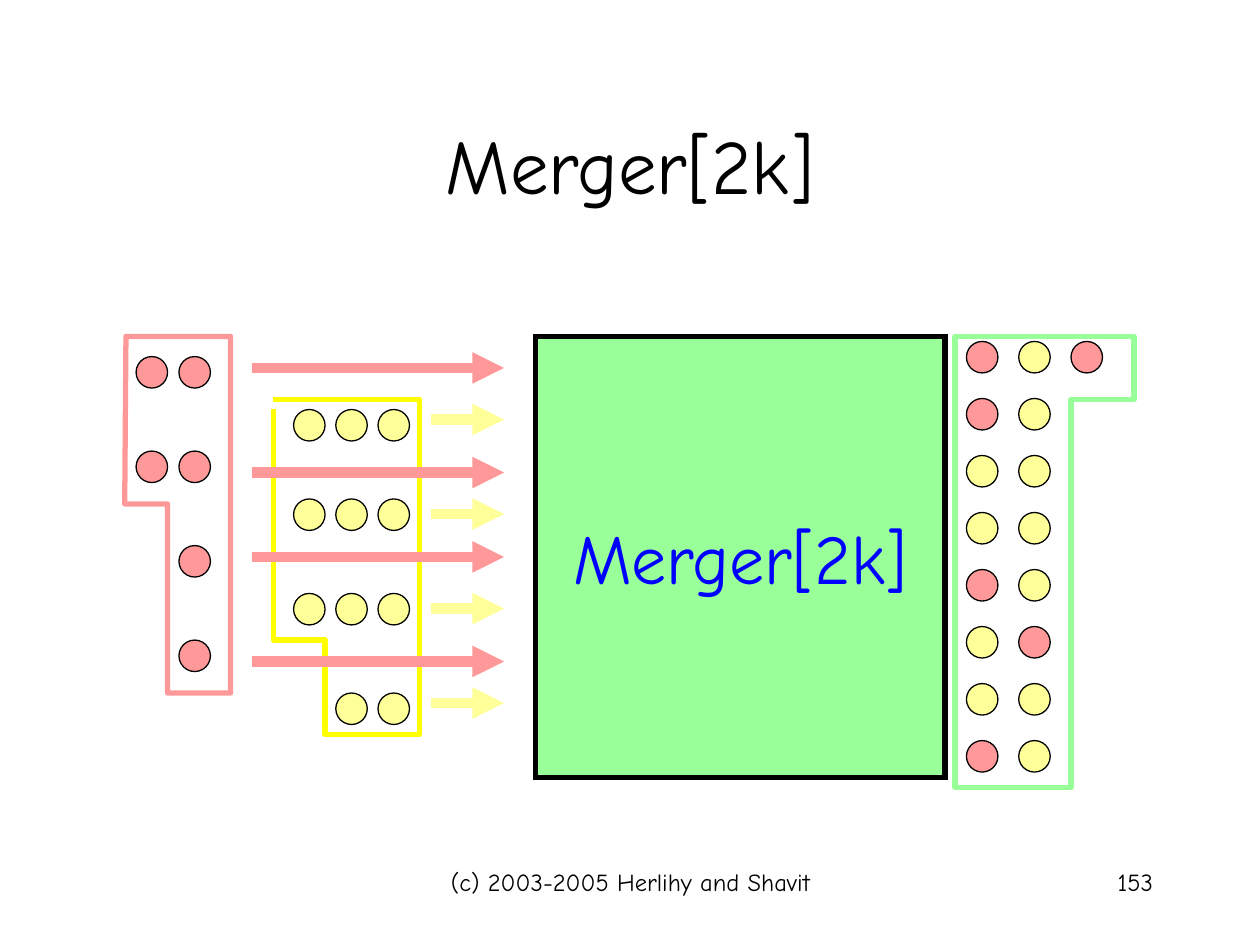
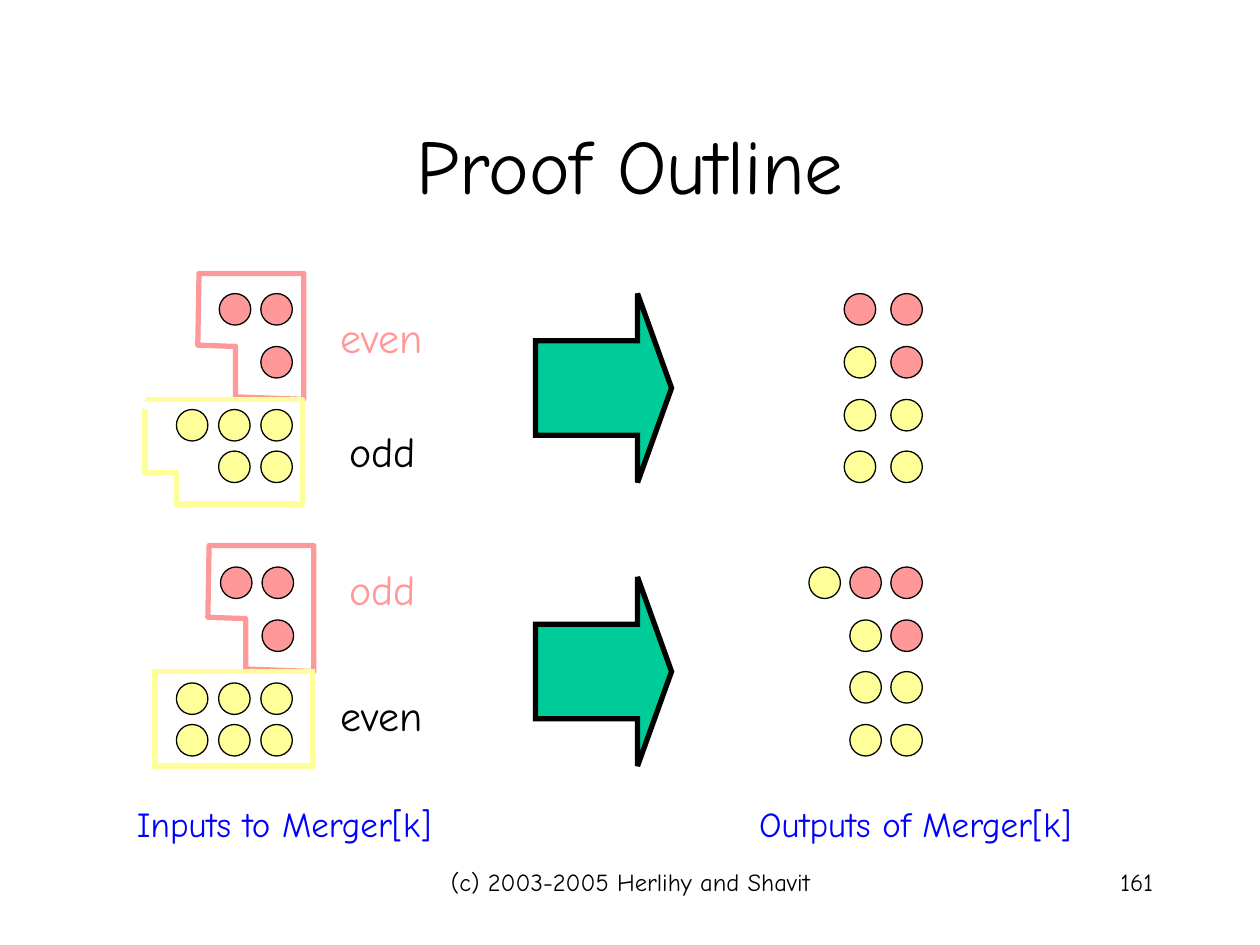
from lxml import etree
from pptx import Presentation
from pptx.dml.color import RGBColor
from pptx.enum.shapes import MSO_CONNECTOR, MSO_SHAPE
from pptx.enum.text import MSO_ANCHOR, PP_ALIGN
from pptx.oxml.ns import qn
from pptx.util import Inches, Pt

RECT, OVAL, ARROW = MSO_SHAPE.RECTANGLE, MSO_SHAPE.OVAL, MSO_SHAPE.RIGHT_ARROW
STRAIGHT = MSO_CONNECTOR.STRAIGHT
CENTER, RIGHT = PP_ALIGN.CENTER, PP_ALIGN.RIGHT
TOP, MIDDLE = MSO_ANCHOR.TOP, MSO_ANCHOR.MIDDLE

FONT = "Comic Neue"
FOOTER = "(c) 2003-2005 Herlihy and Shavit"
C = {"black": "000000", "blue": "0000FF", "pink": "FF9999", "pale": "FFFF99",
     "yellow": "FFFF00", "green": "99FF99", "teal": "00CC99"}
TOKEN = {"P": "pink", "Y": "pale"}
TOKEN_SIZE = 0.25

MERGER = {
    "title": "Merger[2k]",
    "number": "153",
    "box": (4.25, 2.67, 3.25, 3.5),
    "tokens": [
        (1.08, 0.34, [2.83 + 0.75 * i for i in range(4)], ["PP", "PP", ".P", ".P"]),
        (2.33, 0.335, [3.25, 3.96, 4.71, 5.5], ["YYY", "YYY", "YYY", ".YY"]),
        (7.67, 0.415, [2.71 + 0.4525 * i for i in range(8)],
         ["PYP", "PY", "YY", "YY", "PY", "YP", "YY", "PY"]),
    ],
    "outlines": [
        ("yellow", False, [(2.17, 3.25), (2.17, 5.08), (2.58, 5.08), (2.58, 5.83),
                           (3.33, 5.83), (3.33, 3.17), (2.17, 3.17)]),
        ("pink", True, [(1, 2.67), (0.99, 4), (1.33, 4), (1.33, 5.5),
                        (1.83, 5.5), (1.83, 2.67)]),
        ("green", True, [(7.58, 2.67), (7.58, 6.25), (8.5, 6.25), (8.5, 3.17),
                         (9, 3.17), (9, 2.67)]),
    ],
    "flows": [("pink", 2, [2.92, 3.75, 4.42, 5.25]),
              ("pale", 3.42, [3.33, 4.08, 4.83, 5.58])],
}

PINK_INPUT = [(1.58, 2.17), (1.57, 2.74), (1.87, 2.75), (1.87, 3.15),
              (2.41, 3.17), (2.41, 2.17)]
PROOF = {
    "title": "Proof Outline",
    "number": "161",
    "tokens": [
        (1.74, 0.33, [2.33, 2.75], ["PP", ".P"]),
        (1.4, 0.335, [3.25, 3.58], ["YYY", ".YY"]),
        (1.75, 0.33, [4.5, 4.92], ["PP", ".P"]),
        (1.4, 0.335, [5.42, 5.75], ["YYY", "YYY"]),
        (6.7, 0.37, [2.33, 2.75, 3.17, 3.58], ["PP", "YP", "YY", "YY"]),
        (6.42, 0.325, [4.5, 4.92, 5.33, 5.75], ["YPP", ".YP", ".YY", ".YY"]),
    ],
    "outlines": [
        ("pink", True, PINK_INPUT),
        ("pale", False, [(1.15, 3.25), (1.15, 3.75), (1.4, 3.75), (1.4, 4),
                         (2.4, 4), (2.4, 3.17), (1.15, 3.17)]),
        ("pink", True, [(x + 0.08, y + 2.16) for x, y in PINK_INPUT]),
    ],
    "even_box": (1.23, 5.33, 1.25, 0.75),
    "arrows": [(4.25, y, 1.08, 1.5) for y in (2.33, 4.58)],
    "labels": [
        ("even", (2.6, 2.42, 0.86, 0.5), 24, "pink"),
        ("odd", (2.67, 3.33, 0.73, 0.5), 24, "black"),
        ("odd", (2.67, 4.42, 0.73, 0.5), 24, "pink"),
        ("even", (2.6, 5.42, 0.86, 0.5), 24, "black"),
        ("Inputs to Merger[k]", (0.98, 6.32, 2.55, 0.44), 20, "blue"),
        ("Outputs of Merger[k]", (5.92, 6.32, 2.69, 0.44), 20, "blue"),
    ],
}


def rgb(name):
    return RGBColor.from_string(C[name])


def write(sp, text, size=14, color="black", align=CENTER, anchor=TOP, wrap=True):
    tf = sp.text_frame
    tf.word_wrap = wrap
    tf.vertical_anchor = anchor
    p = tf.paragraphs[0]
    p.alignment = align
    r = p.add_run()
    r.text = text
    r.font.name, r.font.size = FONT, Pt(size)
    r.font.color.rgb = rgb(color)


def add_text(s, text, at, **fmt):
    write(s.shapes.add_textbox(*map(Inches, at)), text, **fmt)


def paint(sp, fill=None, line="black", width=3):
    sp.shadow.inherit = False
    if fill:
        sp.fill.solid()
        sp.fill.fore_color.rgb = rgb(fill)
    else:
        sp.fill.background()
    sp.line.color.rgb = rgb(line)
    sp.line.width = Pt(width)


def add_shape(s, kind, at, **style):
    sp = s.shapes.add_shape(kind, *map(Inches, at))
    paint(sp, **style)
    if kind != OVAL:
        etree.SubElement(sp.line._get_or_add_ln(), qn("a:miter"), lim="800000")
    return sp


def add_tokens(s, left, step, tops, rows):
    for top, row in zip(tops, rows):
        for col, token in enumerate(row):
            if token in TOKEN:
                at = (left + col * step, top, TOKEN_SIZE, TOKEN_SIZE)
                add_shape(s, OVAL, at, fill=TOKEN[token], width=0.75)


def add_outline(s, color, closed, points):
    start, *rest = [(Inches(x), Inches(y)) for x, y in points]
    fb = s.shapes.build_freeform(*start)
    fb.add_line_segments(rest, close=closed)
    paint(fb.convert_to_shape(), line=color)


def add_flow(s, color, left, y):
    cx = s.shapes.add_connector(STRAIGHT, Inches(left), Inches(y), Inches(4), Inches(y))
    cx.line.color.rgb = rgb(color)
    cx.line.width = Pt(6)
    etree.SubElement(cx.line._get_or_add_ln(), qn("a:tailEnd"), type="triangle")
    etree.SubElement(cx._element.spPr, qn("a:effectLst"))


def add_slide(prs, content):
    s = prs.slides.add_slide(prs.slide_layouts[6])
    add_text(s, content["title"], (0.75, 0.67, 8.5, 1.25), size=44, anchor=MIDDLE)
    add_text(s, FOOTER, (3.42, 6.83, 3.17, 0.5))
    add_text(s, content["number"], (7.17, 6.83, 2.08, 0.5), align=RIGHT)
    for group in content["tokens"]:
        add_tokens(s, *group)
    for outline in content["outlines"]:
        add_outline(s, *outline)
    return s


def main():
    prs = Presentation()
    prs.slide_width, prs.slide_height = Inches(10), Inches(7.5)

    s = add_slide(prs, MERGER)
    box = add_shape(s, RECT, MERGER["box"], fill="green")
    write(box, MERGER["title"], size=40, color="blue", anchor=MIDDLE, wrap=False)
    for color, left, rows in MERGER["flows"]:
        for y in rows:
            add_flow(s, color, left, y)

    s = add_slide(prs, PROOF)
    add_shape(s, RECT, PROOF["even_box"], line="pale")
    for at in PROOF["arrows"]:
        arrow = add_shape(s, ARROW, at, fill="teal")
        arrow.adjustments[0], arrow.adjustments[1] = 0.5, 0.25
    for text, at, size, color in PROOF["labels"]:
        add_text(s, text, at, size=size, color=color, wrap=False)

    prs.save("out.pptx")


if __name__ == "__main__":
    main()
